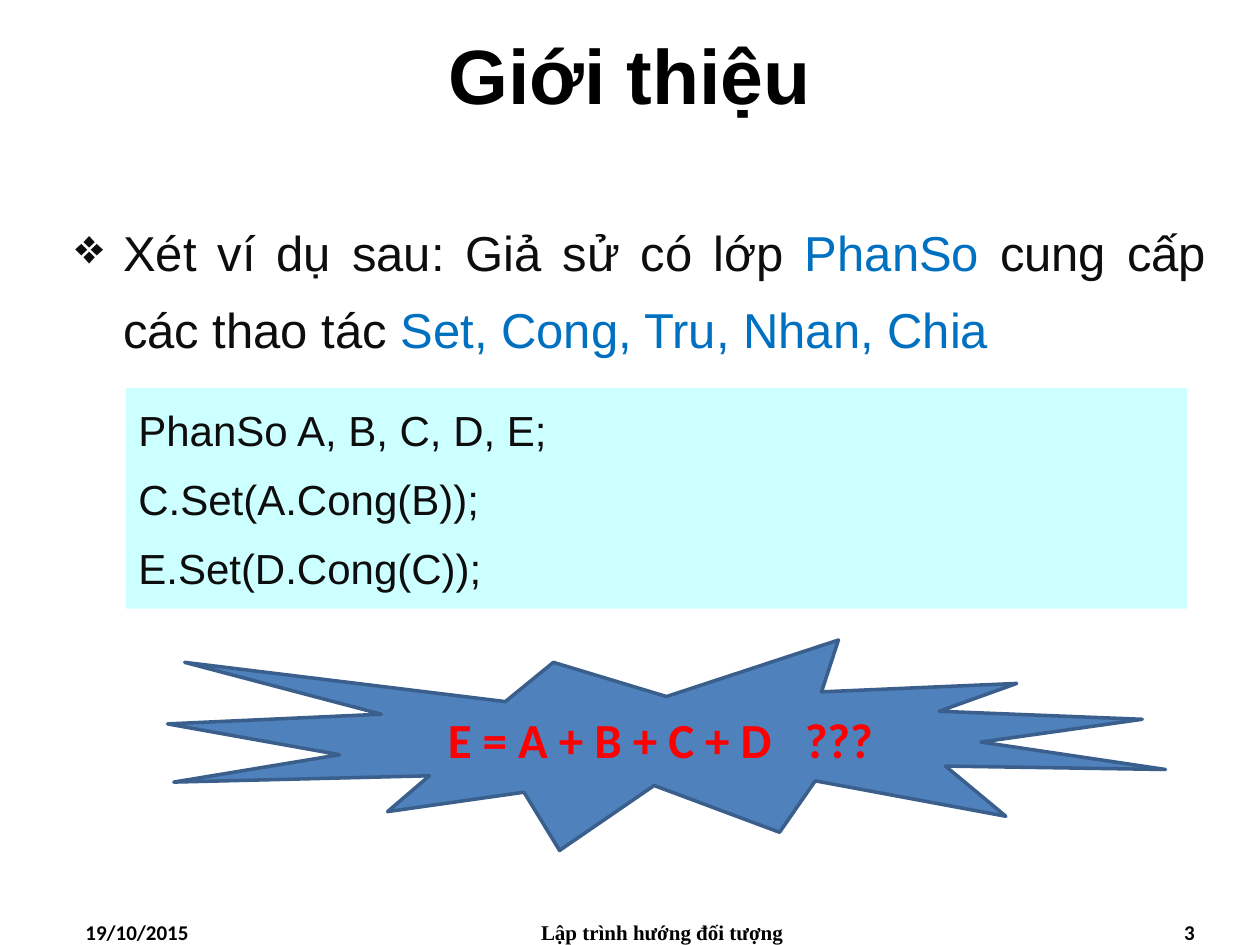
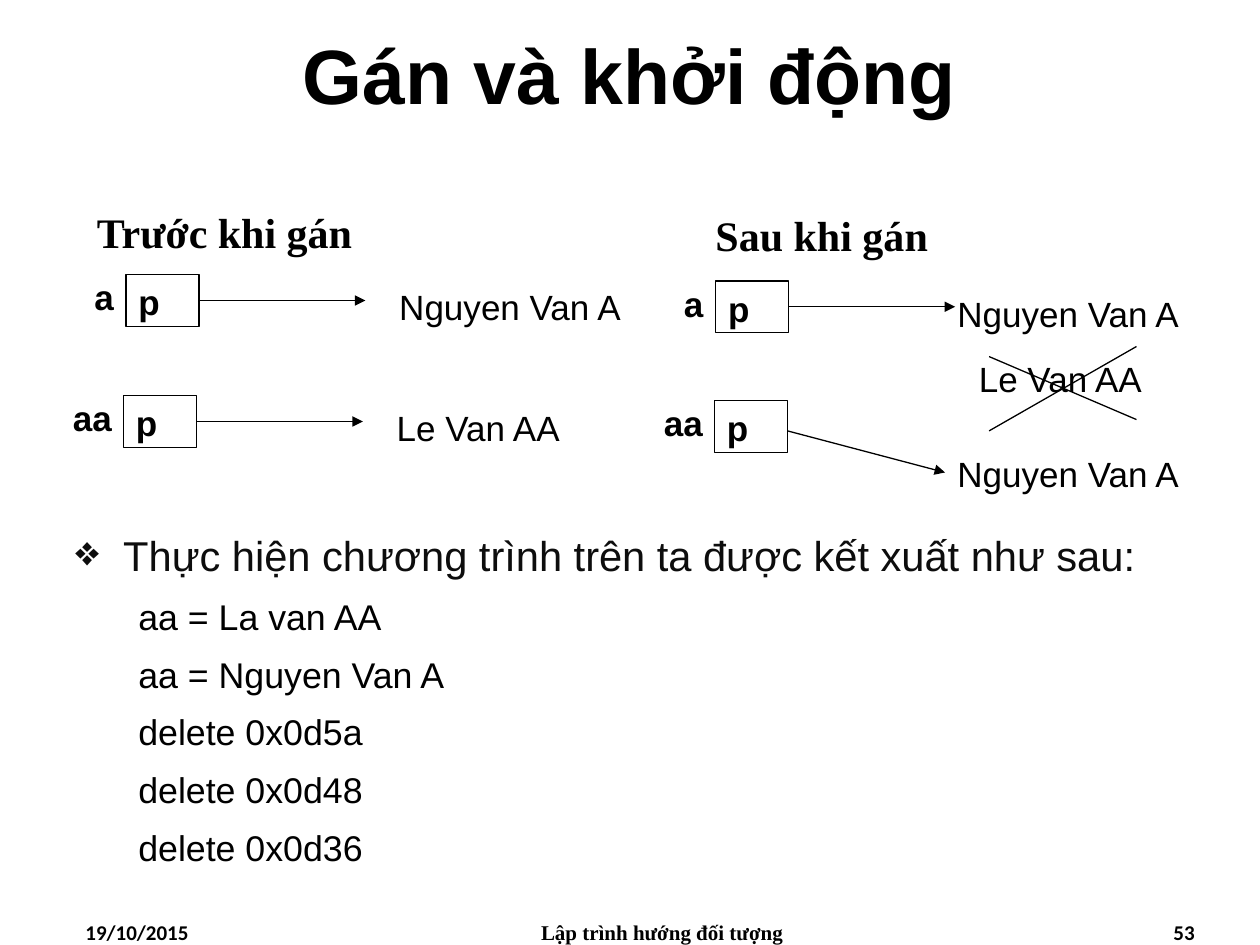
from lxml import etree
from pptx import Presentation
from pptx.dml.color import RGBColor
from pptx.enum.shapes import MSO_CONNECTOR, MSO_SHAPE
from pptx.enum.text import MSO_ANCHOR, PP_ALIGN
from pptx.oxml.ns import qn
from pptx.util import Inches, Pt

BLACK = RGBColor(0x00, 0x00, 0x00)
INK = RGBColor(0x0D, 0x0D, 0x0D)
BLUE = RGBColor(0x00, 0x70, 0xC0)
RED = RGBColor(0xFF, 0x00, 0x00)
CODE_FILL = RGBColor(0xCC, 0xFF, 0xFF)
SEAL_FILL = RGBColor(0x4F, 0x81, 0xBD)
SEAL_LINE = RGBColor(0x3A, 0x5F, 0x8C)
SANS, SERIF, HUMANIST = "Arial", "Times New Roman", "Calibri"
LEFT, CENTER, RIGHT, JUSTIFY = PP_ALIGN.LEFT, PP_ALIGN.CENTER, PP_ALIGN.RIGHT, PP_ALIGN.JUSTIFY
TOP, MIDDLE = MSO_ANCHOR.TOP, MSO_ANCHOR.MIDDLE
RECTANGLE, SEAL = MSO_SHAPE.RECTANGLE, MSO_SHAPE.EXPLOSION1
STRAIGHT = MSO_CONNECTOR.STRAIGHT
RIGHT_SIDE = 3
BOX_WIDTH, BOX_HEIGHT = 0.58, 0.41


def add_span(para, text, size, font=SANS, colour=BLACK, bold=False):
    """Add one formatted run and return it."""
    span = para.add_run()
    span.text = text
    span.font.size = Pt(size)
    span.font.name = font
    span.font.color.rgb = colour
    span.font.bold = bold
    return span


def add_para(frame, align=LEFT, spacing=1.0, before=0, after=0):
    """Return the next paragraph of a frame, reusing an empty first one."""
    first = not frame.paragraphs[0].runs
    para = frame.paragraphs[0] if first else frame.add_paragraph()
    para.alignment = align
    para.line_spacing = spacing
    para.space_before = Pt(0 if first else before)
    para.space_after = Pt(after)
    return para


def set_indent(para, margin, indent, bullet=None):
    """Give a paragraph its hanging indent and an optional bullet."""
    properties = para._p.get_or_add_pPr()
    properties.set("marL", str(Inches(margin)))
    properties.set("indent", str(Inches(indent)))
    if bullet:
        etree.SubElement(properties, qn("a:buChar")).set("char", bullet)


def add_frame(page, left, top, width, height, anchor=TOP):
    """Add a wrapping text box and return its text frame."""
    box = page.shapes.add_textbox(Inches(left), Inches(top), Inches(width), Inches(height))
    box.text_frame.word_wrap = True
    box.text_frame.vertical_anchor = anchor
    return box.text_frame


def add_label(page, area, text, size, align=LEFT, anchor=TOP, **style):
    """Add a text box that holds a single run."""
    add_span(add_para(add_frame(page, *area, anchor), align), text, size, **style)


def add_block(page, kind, area, fill=None, line=None, weight=0.75, anchor=TOP):
    """Add a preset shape with flat fill and line."""
    block = page.shapes.add_shape(kind, *(Inches(length) for length in area))
    block.shadow.inherit = False
    if fill is None:
        block.fill.background()
    else:
        block.fill.solid()
        block.fill.fore_color.rgb = fill
    if line is None:
        block.line.fill.background()
    else:
        block.line.color.rgb = line
        block.line.width = Pt(weight)
    block.text_frame.word_wrap = True
    block.text_frame.vertical_anchor = anchor
    return block


def add_line(page, start, end, arrow=False):
    """Add a thin black line, with an arrowhead at its end if asked."""
    line = page.shapes.add_connector(STRAIGHT, *(Inches(length) for length in (*start, *end)))
    line.line.color.rgb = BLACK
    line.line.width = Pt(0.75)
    if arrow:
        etree.SubElement(line.line._get_or_add_ln(), qn("a:tailEnd")).set("type", "triangle")
    etree.SubElement(line._element.spPr, qn("a:effectLst"))
    return line


def add_page(deck, title, number):
    """Add a blank slide with the shared title and footer."""
    page = deck.slides.add_slide(deck.slide_layouts[6])
    add_label(page, (0, 0, 10, 1.17), title, 44, CENTER, MIDDLE, bold=True)
    footers = (
        (0.58, 2.33, "19/10/2015", LEFT, HUMANIST),
        (3.67, 3.17, "Lập trình hướng đối tượng", CENTER, SERIF),
        (7.25, 2.33, number, RIGHT, HUMANIST),
    )
    for left, width, text, align, font in footers:
        add_label(page, (left, 7.25, width, 0.25), text, 12, align, font=font, bold=True)
    return page


def add_code(page, area, lines):
    """Add a tinted box of code lines."""
    frame = add_block(page, RECTANGLE, area, CODE_FILL).text_frame
    for line in lines:
        add_span(add_para(frame, spacing=1.2, before=5), line, 24, colour=INK)


def add_question(page, area):
    """Add the burst that asks about the sum."""
    seal = add_block(page, SEAL, area, SEAL_FILL, SEAL_LINE, 2, MIDDLE)
    para = add_para(seal.text_frame, CENTER)
    style = {"size": 28, "font": HUMANIST, "colour": RED, "bold": True}
    add_span(para, "E = A + B + C + D", **style)
    gap = add_span(para, " ", **style)
    gap.font._element.set("spc", "1270")
    add_span(para, "???", **style)


def add_pointer(page, left, top, name, value, value_offset, arrow_end, joined=True):
    """Add a named object box with its pointer and the text it points to."""
    label_width, label_shift = {"a": (0.42, 0.35), "aa": (0.57, 0.5)}[name]
    add_label(page, (left - label_shift, top - 0.04, label_width, 0.4), name, 20, bold=True)
    block = add_block(page, RECTANGLE, (left, top, BOX_WIDTH, BOX_HEIGHT), line=BLACK)
    add_span(add_para(block.text_frame), "p", 20, bold=True)
    start_drop = BOX_HEIGHT / 2 if joined else 0.24
    start = (left + BOX_WIDTH, top + start_drop)
    arrow = add_line(page, start, (left + arrow_end[0], top + arrow_end[1]), arrow=True)
    if joined:
        arrow.begin_connect(block, RIGHT_SIDE)
    add_value(page, left + value_offset[0], top + value_offset[1], value)


def add_value(page, left, top, text):
    """Add a stored string."""
    add_label(page, (left, top, 2.25, 0.44), text, 20)


def add_heading(page, left, top, text):
    """Add the heading of one state."""
    add_label(page, (left, top, 3.58, 0.58), text, 24, font=SERIF, bold=True)


def add_before(page, left, top):
    """Draw the two objects before the assignment."""
    add_heading(page, left - 0.33, top - 0.59, "Trước khi gán")
    rows = ((0, 0, "a", "Nguyen Van A"), (-0.02, 0.96, "aa", "Le Van AA"))
    for shift, drop, name, value in rows:
        add_pointer(page, left + shift, top + drop, name, value, (2.07, 0.04), (1.9, BOX_HEIGHT / 2))


def add_after(page, left, top):
    """Draw the two objects after the assignment, with the lost string crossed out."""
    add_heading(page, left - 0.1, top - 0.62, "Sau khi gán")
    value = "Nguyen Van A"
    add_pointer(page, left, top, "a", value, (1.82, 0.04), (1.9, BOX_HEIGHT / 2))
    add_pointer(page, left - 0.01, top + 0.95, "aa", value, (1.83, 0.36), (1.83, 0.57), joined=False)
    add_value(page, left + 1.99, top + 0.56, "Le Van AA")
    cross_left, cross_right = left + 2.17, left + 3.34
    add_line(page, (cross_left, top + 0.6), (cross_right, top + 1.1))
    add_line(page, (cross_right, top + 0.52), (cross_left, top + 1.19))


def add_bullet(frame, spans, size, spacing):
    """Add a justified paragraph with a diamond bullet."""
    para = add_para(frame, JUSTIFY, spacing, 3, 3)
    set_indent(para, 0.38, -0.38, "❖")
    for text, colour in spans:
        add_span(para, text, size, colour=colour)


def add_output(page, area, lines):
    """List what the program prints."""
    frame = add_frame(page, *area)
    add_bullet(frame, [("Thực hiện chương trình trên ta được kết xuất như sau:", INK)], 23.8, 1.2)
    for line in lines:
        para = add_para(frame, JUSTIFY, 1.1, 3, 3)
        set_indent(para, 0.81, -0.31)
        add_span(para, line, 20.4)


def build_introduction(deck):
    """Build the slide that introduces the fraction class."""
    page = add_page(deck, "Giới thiệu", "3")
    spans = [
        ("Xét ví dụ sau: Giả sử có lớp ", INK),
        ("PhanSo", BLUE),
        (" cung cấp các thao tác ", INK),
        ("Set, Cong, Tru, Nhan, Chia", BLUE),
    ]
    add_bullet(add_frame(page, 0.5, 1.58, 9.17, 1.4), spans, 28, 1.3)
    add_code(page, (1, 3.08, 8.42, 1.75),
             ("PhanSo A, B, C, D, E;", "C.Set(A.Cong(B));", "E.Set(D.Cong(C));"))
    add_question(page, (1.33, 5.08, 7.92, 1.67))


def build_assignment(deck):
    """Build the slide that compares memory before and after assignment."""
    page = add_page(deck, "Gán và khởi động", "53")
    add_before(page, 1, 2.18)
    add_after(page, 5.68, 2.23)
    add_output(page, (0.5, 4.08, 9.17, 3),
               ("aa = La van AA", "aa = Nguyen Van A",
                "delete 0x0d5a", "delete 0x0d48", "delete 0x0d36"))


def main():
    """Build and save the deck."""
    deck = Presentation()
    deck.slide_width, deck.slide_height = Inches(10), Inches(7.5)
    build_introduction(deck)
    build_assignment(deck)
    deck.save("out.pptx")


if __name__ == "__main__":
    main()
